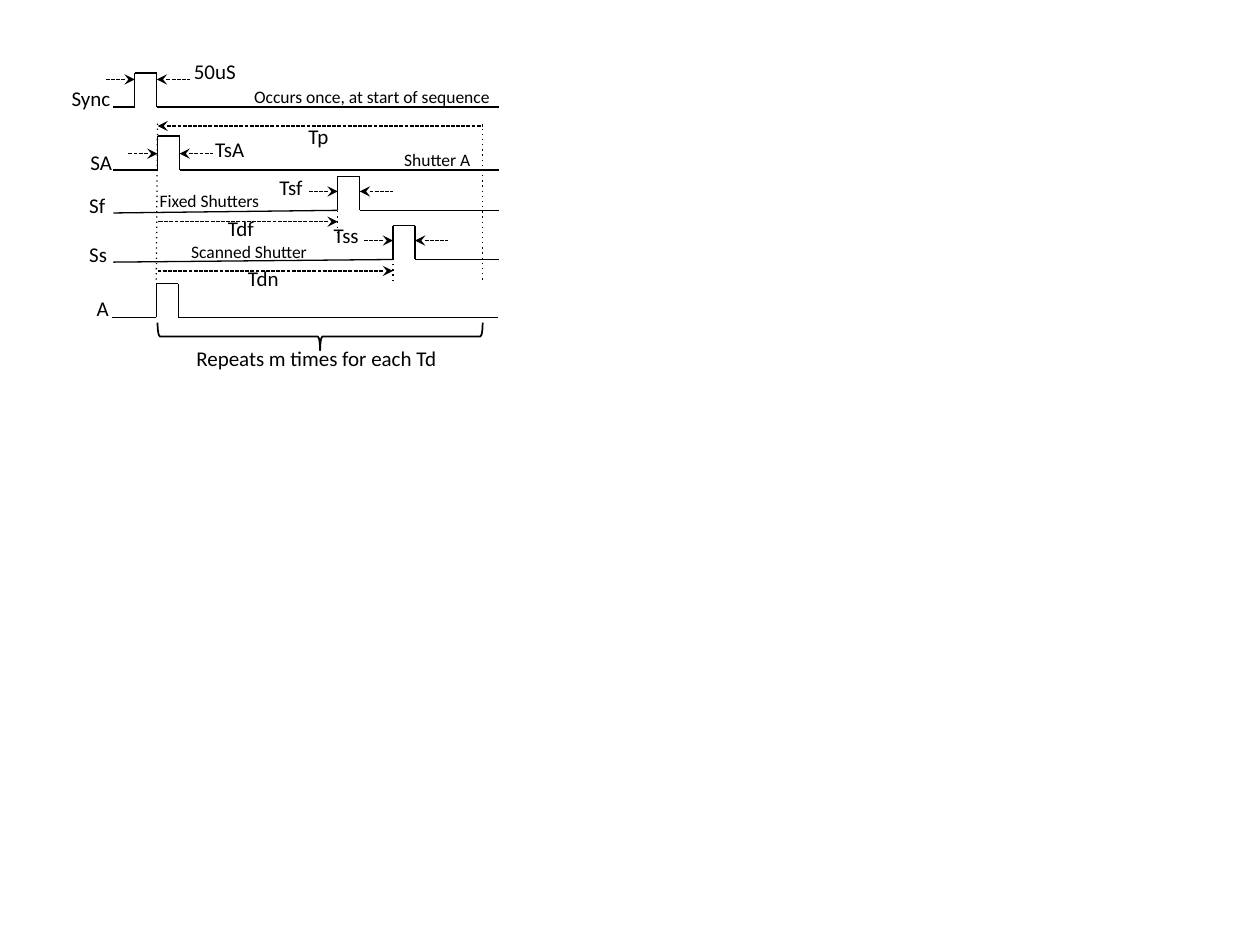
"""Draw a shutter timing diagram."""
from typing import NamedTuple, Optional

from lxml import etree
from pptx import Presentation
from pptx import util as u
from pptx.dml import color
from pptx.enum import shapes, text
from pptx.oxml import ns

COLORS = {"ink": "000000"}
FONT = "Calibri"
LEFT, RIGHT = 64.8, 285.1
PULSE_W, PULSE_H = 12.6, 19.4
T0, T_END = 90, 275.8
T_FIXED, T_SCAN = 193, 224.6


class Signal(NamedTuple):
    rise: float
    base: float
    arrow_y: Optional[float] = None
    drop: float = 0
    shift: float = 0


class Line(NamedTuple):
    x1: float
    y1: float
    x2: float
    y2: float
    dash: str = ""
    head: str = ""


class Label(NamedTuple):
    text: str
    x: float
    y: float
    w: float
    size: int = 12


SIGNALS = [
    Signal(77, 61.2, 45.4),
    Signal(T0, 97.2, 87.8),
    Signal(T_FIXED, 120.2, 109.4, drop=1.5),
    Signal(T_SCAN, 148.3, 137.5, drop=1.5),
    Signal(89.3, 181.4, shift=-0.7),
]
GUIDES = [
    Line(T0, 70.6, 89.3, 161.3, "dot"),
    Line(T_END, 70.6, T_END, 161.3, "dot"),
    Line(T_FIXED, 103, T_FIXED, 133.2, "dot"),
    Line(T_SCAN, 130.3, T_SCAN, 161.3, "dot"),
]
SPANS = [
    Line(T0, 72, T_END, 72, "sysDash", "stealth"),
    Line(T_FIXED, 126.7, T0, 126.7, "sysDash", "stealth"),
    Line(T_SCAN, 154.8, T0, 154.8, "sysDash", "stealth"),
]
LABELS = [
    Label("Sync", 33.8, 45.4, 37.4),
    Label("SA", 44.6, 82.1, 27.4),
    Label("Sf", 43.9, 106.6, 24.5),
    Label("Ss", 43.9, 134.6, 25.9),
    Label("A", 48.2, 165.6, 21.6),
    Label("50uS", 103.7, 30.2, 38.9),
    Label("TsA", 115.9, 74.2, 32.4),
    Label("Tsf", 152.6, 96.5, 29.5),
    Label("Tss", 183.6, 123.8, 31),
    Label("Tp", 169.2, 67, 26.6),
    Label("Tdf", 123.1, 119.5, 31),
    Label("Tdn", 134.6, 148.3, 33.1),
    Label("Repeats m times for each Td", 105.1, 193.7, 154.8),
    Label("Occurs once, at start of sequence ", 138.2, 45.4, 151.2, 10),
    Label("Shutter A", 223.9, 81.4, 54, 10),
    Label("Fixed Shutters", 84.2, 105.1, 72.7, 10),
    Label("Scanned Shutter", 102.2, 133.9, 82.1, 10),
]


def ink() -> color.RGBColor:
    """Return the drawing colour."""
    return color.RGBColor.from_string(COLORS["ink"])


def draw_line(g, ln: Line) -> None:
    """Draw a line with optional dash and arrowhead."""
    c = g.shapes.add_connector(shapes.MSO_CONNECTOR.STRAIGHT,
                               u.Pt(ln.x1), u.Pt(ln.y1), u.Pt(ln.x2), u.Pt(ln.y2))
    c.line.color.rgb = ink()
    c.line.width = u.Pt(0.75)
    el = c.line._get_or_add_ln()
    if ln.dash:
        etree.SubElement(el, ns.qn("a:prstDash")).set("val", ln.dash)
    if ln.head:
        etree.SubElement(el, ns.qn("a:headEnd")).set("type", ln.head)
    etree.SubElement(c._element.spPr, ns.qn("a:effectLst"))


def draw_signal(g, sig: Signal) -> None:
    """Draw a pulse on its baseline with the arrows that mark its width."""
    fall, top = sig.rise + PULSE_W, sig.base - PULSE_H
    points = [(LEFT + sig.shift, sig.base + sig.drop), (sig.rise, sig.base),
              (sig.rise, top), (fall, top), (fall, sig.base),
              (RIGHT + sig.shift, sig.base)]
    for a, b in zip(points, points[1:]):
        draw_line(g, Line(*a, *b))
    if sig.arrow_y is not None:
        for x, dx in ((sig.rise, -17.3), (fall, 18.9)):
            draw_line(g, Line(x, sig.arrow_y, x + dx, sig.arrow_y, "sysDash", "stealth"))


def draw_label(g, lab: Label) -> None:
    """Draw a single-line label."""
    h = 21.6 if lab.size == 12 else 19.4
    sp = g.shapes.add_textbox(u.Pt(lab.x), u.Pt(lab.y), u.Pt(lab.w), u.Pt(h))
    tf = sp.text_frame
    tf.text = lab.text
    tf.word_wrap = False
    tf.auto_size = text.MSO_AUTO_SIZE.SHAPE_TO_FIT_TEXT
    r = tf.paragraphs[0].runs[0]
    r.font.size = u.Pt(lab.size)
    r.font.name = FONT
    r.font.color.rgb = ink()


def draw_brace(g) -> None:
    """Draw the brace under the repeated interval."""
    w, h = 15.8, T_END - T0
    sp = g.shapes.add_shape(shapes.MSO_SHAPE.RIGHT_BRACE,
                            u.Pt((T0 + T_END - w) / 2), u.Pt(192.3 - h / 2), u.Pt(w), u.Pt(h))
    sp.rotation = 90
    sp.shadow.inherit = False
    sp.fill.background()
    sp.line.color.rgb = ink()
    sp.line.width = u.Pt(1)


def main() -> None:
    """Build and save the slide."""
    prs = Presentation()
    prs.slide_width, prs.slide_height = u.Pt(720), u.Pt(540)
    s = prs.slides.add_slide(prs.slide_layouts[6])
    g = s.shapes.add_group_shape()
    for sig in SIGNALS:
        draw_signal(g, sig)
    for ln in GUIDES + SPANS:
        draw_line(g, ln)
    draw_brace(g)
    for lab in LABELS:
        draw_label(g, lab)
    prs.save("out.pptx")


main()
